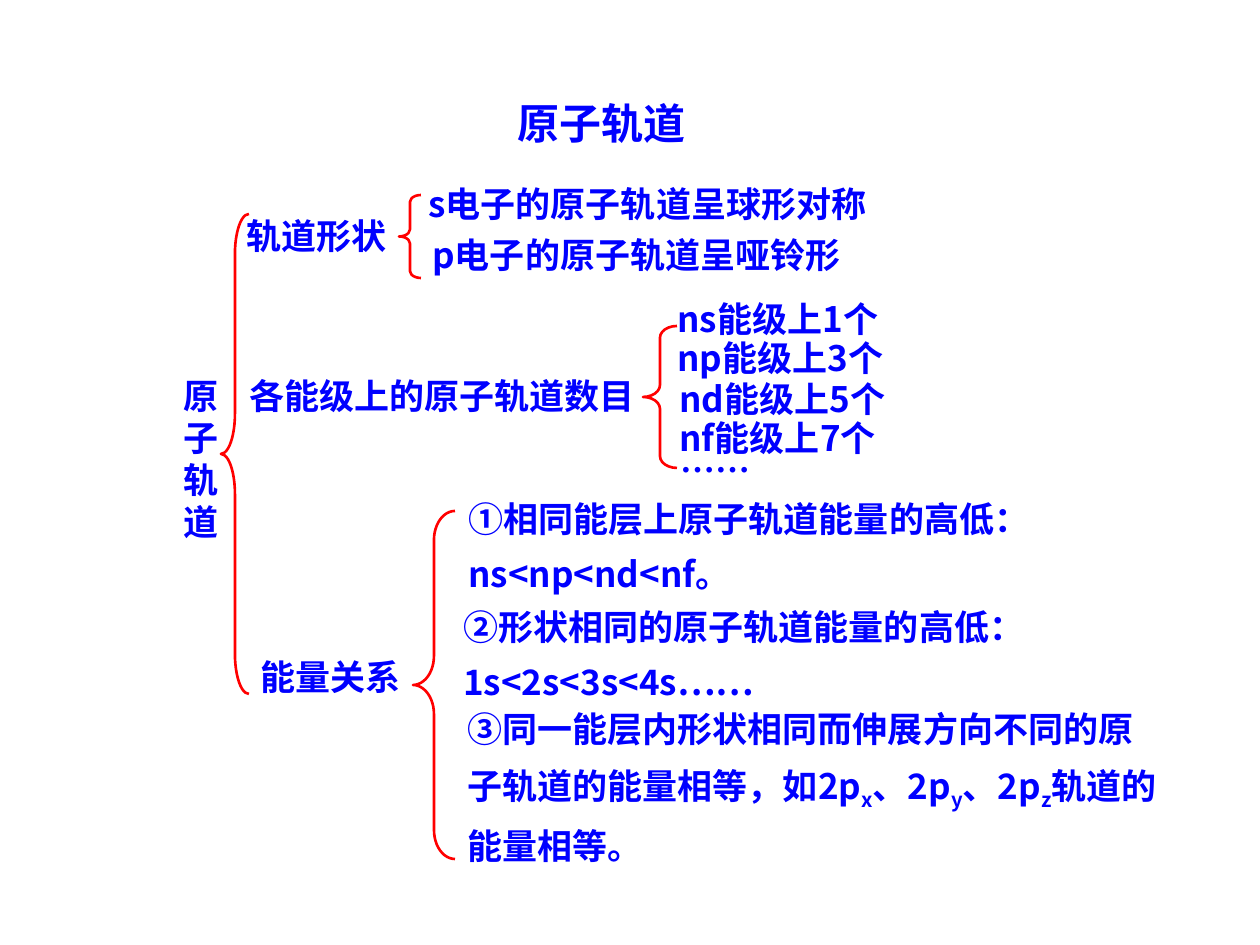
"""Build a slide that sums up atomic orbitals as a bracketed outline."""
from lxml import etree
from pptx import Presentation
from pptx.dml.color import RGBColor
from pptx.enum.shapes import MSO_SHAPE
from pptx.oxml.ns import qn
from pptx.util import Emu, Pt

BRACE = MSO_SHAPE.LEFT_BRACE
SCALE = 914400 // 126
FONT = "Noto Sans CJK SC"
COLORS = {"text": "0000FF", "brace": "FF0000"}
SUBSCRIPT = "-25000"

TITLE = (505, 91, 208, 63, ["原子轨道"])
ROOT = (171, 368, 87, 181, list("原子轨道"))
BRANCHES = [
    (234, 208, 208, 55, ["轨道形状"]),
    (237, 368, 557, 55, ["各能级上的原子轨道数目"]),
    (248, 649, 208, 55, ["能量关系"]),
]
SHAPES = [
    (416, 176, 557, 55, ["s电子的原子轨道呈球形对称"]),
    (420, 227, 557, 55, ["p电子的原子轨道呈哑铃形"]),
]
COUNTS = [
    (665, 291, 355, 55, ["ns能级上1个"]),
    (665, 330, 355, 55, ["np能级上3个"]),
    (667, 371, 355, 55, ["nd能级上5个"]),
    (667, 410, 355, 55, ["nf能级上7个"]),
    (668, 442, 355, 55, ["……"]),
]
ENERGIES = [
    (456, 479, 712, 122, ["①相同能层上原子轨道能量的高低：", "ns<np<nd<nf。"]),
    (451, 587, 721, 122, ["②形状相同的原子轨道能量的高低：", "1s<2s<3s<4s……"]),
    (455, 689, 721, 184, [
        "③同一能层内形状相同而伸展方向不同的原子轨道的能量相等，如2p_x_、2p_y_、2p_z_轨道的能量相等。"
    ]),
]
BRACES = [
    (413, 511, 42, 348),
    (643, 326, 34, 142),
    (221, 214, 28, 480),
    (399, 195, 22, 83),
]


def px(*values):
    return [Emu(value * SCALE) for value in values]


def add_span(para, text, size, lowered):
    span = para.add_run()
    span.text = text
    formats = {"size": Pt(size), "bold": True, "name": FONT}
    for name, value in formats.items():
        setattr(span.font, name, value)
    span.font.color.rgb = RGBColor.from_string(COLORS["text"])
    props = span.font._element
    etree.SubElement(props, qn("a:ea")).set("typeface", FONT)
    if lowered:
        props.set("baseline", SUBSCRIPT)


def add_text(page, item, size=20, spacing=None):
    *place, lines = item
    frame = page.shapes.add_textbox(*px(*place)).text_frame
    frame.word_wrap = True
    for number, line in enumerate(lines):
        para = frame.add_paragraph() if number else frame.paragraphs[0]
        para.line_spacing = spacing
        for index, part in enumerate(line.split("_")):
            add_span(para, part, size, index % 2 == 1)


def add_brace(page, place):
    brace = page.shapes.add_shape(BRACE, *px(*place))
    brace.shadow.inherit = False
    brace.fill.background()
    brace.line.color.rgb = RGBColor.from_string(COLORS["brace"])
    brace.line.width = Pt(1.5)
    width, height = place[2:]
    brace.adjustments[0] = height / width / 12


def main():
    deck = Presentation()
    deck.slide_width, deck.slide_height = px(1260, 945)
    page = deck.slides.add_slide(deck.slide_layouts[6])
    add_text(page, TITLE, size=24)
    for place in BRACES:
        add_brace(page, place)
    for item in [ROOT, *BRANCHES, *SHAPES, *COUNTS]:
        add_text(page, item)
    for item in ENERGIES:
        add_text(page, item, spacing=1.3)
    deck.save("out.pptx")


if __name__ == "__main__":
    main()
